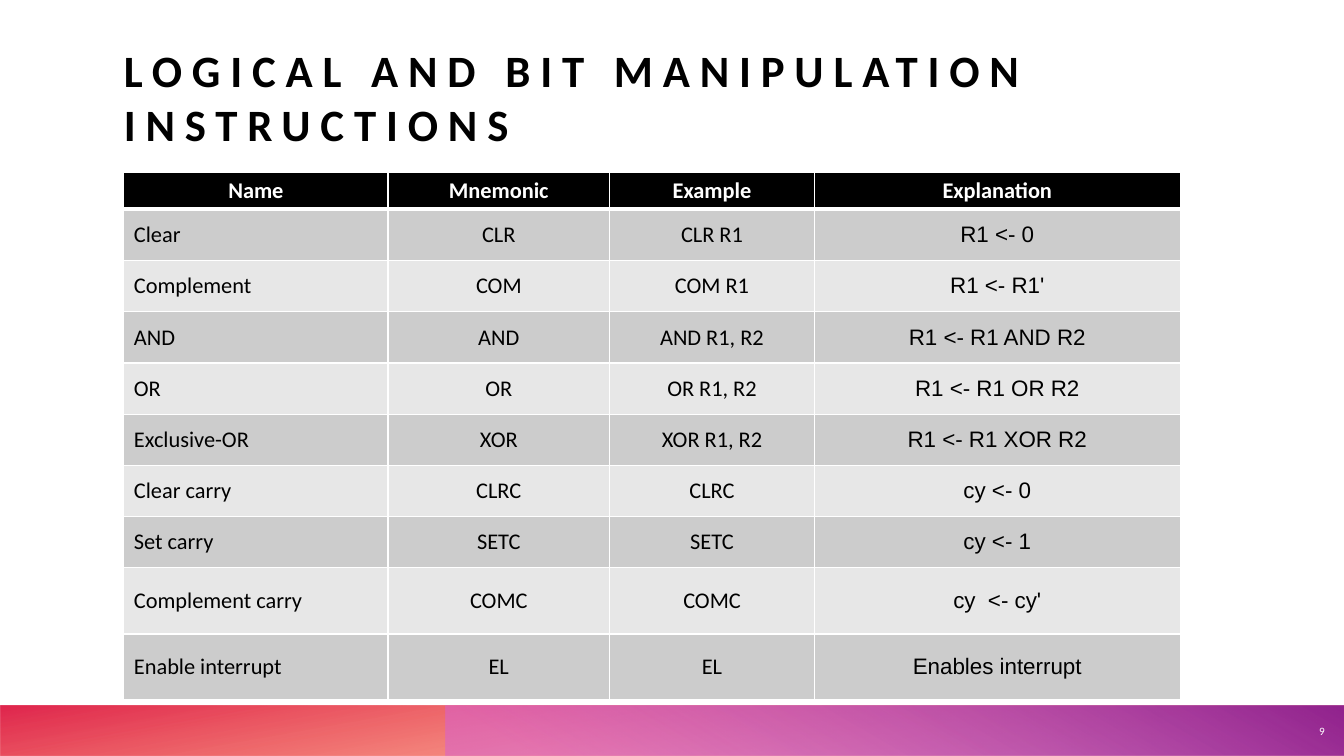
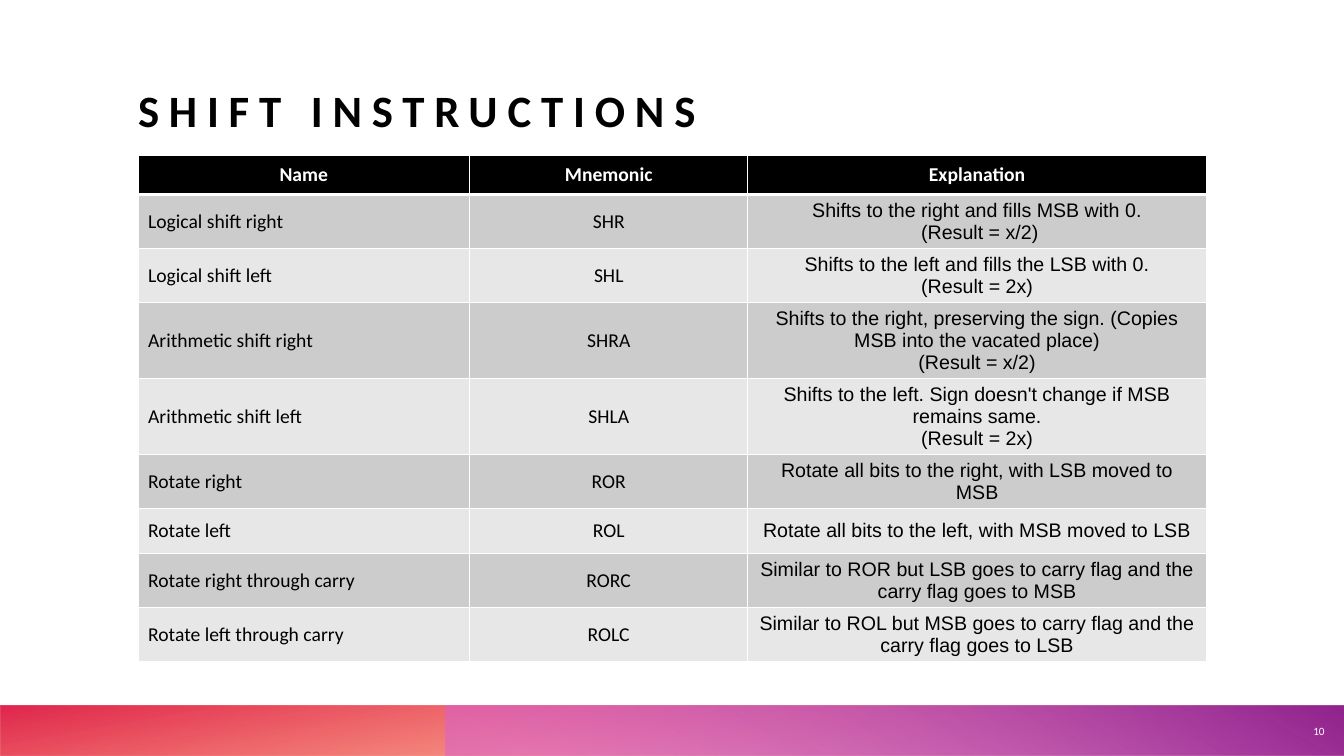
from lxml import etree
from pptx import Presentation
from pptx.dml.color import RGBColor
from pptx.enum.shapes import MSO_SHAPE
from pptx.enum.text import MSO_ANCHOR, MSO_AUTO_SIZE, PP_ALIGN
from pptx.oxml.ns import qn
from pptx.util import Pt

RECTANGLE = MSO_SHAPE.RECTANGLE
BOTTOM, MIDDLE = MSO_ANCHOR.BOTTOM, MSO_ANCHOR.MIDDLE
NO_AUTOFIT = MSO_AUTO_SIZE.NONE
LEFT, CENTER, RIGHT = PP_ALIGN.LEFT, PP_ALIGN.CENTER, PP_ALIGN.RIGHT

COLORS = {
    "black": "000000",
    "white": "FFFFFF",
    "odd_row": "CCCCCC",
    "even_row": "E7E7E7",
    "orange": "FE4A00",
    "red": "DA002F",
    "pink": "D861D4",
    "purple": "92248E",
}
HEADING_FONT, EXPLANATION_FONT = "Calibri", "Arial"
SLIDE_WIDTH, SLIDE_HEIGHT = 960, 540
BAND_TOP, BAND_HEIGHT = 504, 36
PURPLE_BAND_LEFT = 318
TITLE_WIDTH, TITLE_HEIGHT = 806.4, 97.2
THIN_BORDER, HEADER_BORDER = 1, 3

LOGICAL_ROWS = [
    ("Name", "Mnemonic", "Example", "Explanation"),
    ("Clear", "CLR", "CLR R1", "R1 <- 0"),
    ("Complement", "COM", "COM R1", "R1 <- R1'"),
    ("AND", "AND", "AND R1, R2", "R1 <- R1 AND R2"),
    ("OR", "OR", "OR R1, R2", "R1 <- R1 OR R2"),
    ("Exclusive-OR", "XOR", "XOR R1, R2", "R1 <- R1 XOR R2"),
    ("Clear carry", "CLRC", "CLRC", "cy <- 0"),
    ("Set carry", "SETC", "SETC", "cy <- 1"),
    ("Complement carry", "COMC", "COMC", "cy  <- cy'"),
    ("Enable interrupt", "EL", "EL", "Enables interrupt"),
]
SHIFT_ROWS = [
    ("Name", "Mnemonic", "Explanation"),
    ("Logical shift right", "SHR",
     "Shifts to the right and fills MSB with 0.\n (Result = x/2)"),
    ("Logical shift left", "SHL",
     "Shifts to the left and fills the LSB with 0.\n(Result = 2x)"),
    ("Arithmetic shift right", "SHRA",
     "Shifts to the right, preserving the sign. (Copies MSB into the vacated place)\n(Result = x/2)"),
    ("Arithmetic shift left", "SHLA",
     "Shifts to the left. Sign doesn't change if MSB remains same.\n(Result = 2x)"),
    ("Rotate right", "ROR", "Rotate all bits to the right, with LSB moved to MSB"),
    ("Rotate left", "ROL", "Rotate all bits to the left, with MSB moved to LSB"),
    ("Rotate right through carry", "RORC",
     "Similar to ROR but LSB goes to carry flag and the carry flag goes to MSB"),
    ("Rotate left through carry", "ROLC",
     "Similar to ROL but MSB goes to carry flag and the carry flag goes to LSB"),
]


def rgb(color):
    return RGBColor.from_string(COLORS[color])


def format_text(frame, size, color, align, font=HEADING_FONT, bold=False):
    for paragraph in frame.paragraphs:
        paragraph.alignment = align
        for run in paragraph.runs:
            run.font.name = font
            run.font.size = Pt(size)
            run.font.bold = bold
            run.font.color.rgb = rgb(color)


def add_band(slide, layout, left, angle, stops, rotation=0):
    band = slide.shapes.add_shape(
        RECTANGLE, Pt(left), Pt(BAND_TOP), Pt(SLIDE_WIDTH - left), Pt(BAND_HEIGHT))
    band.shadow.inherit = False
    band.line.fill.background()
    band.rotation = rotation
    band.element.spPr.find(qn("a:xfrm")).set("flipH", "1")
    band.fill.gradient()
    band.fill.gradient_angle = 360 - angle
    for stop, (position, color, _) in zip(band.fill.gradient_stops, stops):
        stop.position = position / 100
        stop.color.rgb = rgb(color)
    tints = band.element.spPr.iterfind(".//" + qn("a:gs") + "/" + qn("a:srgbClr"))
    for tint, (_, _, opacity) in zip(tints, stops):
        etree.SubElement(tint, qn("a:alpha"), val=str(opacity * 1000))
    layout.shapes.element.append(band.element)


def add_shared_bands(slide, layout):
    add_band(slide, layout, 0, 100, [(14, "orange", 28), (100, "red", 85)], rotation=180)
    add_band(slide, layout, PURPLE_BAND_LEFT, 240,
             [(9, "pink", 55), (99, "purple", 100)])


def set_title(slide, text, left, top):
    title = slide.shapes.title
    title.left, title.top = Pt(left), Pt(top)
    title.width, title.height = Pt(TITLE_WIDTH), Pt(TITLE_HEIGHT)
    frame = title.text_frame
    frame.text = text
    frame.auto_size = NO_AUTOFIT
    frame.word_wrap = True
    frame.vertical_anchor = BOTTOM
    frame.margin_left = frame.margin_right = frame.margin_top = frame.margin_bottom = 0
    format_text(frame, 32, "black", LEFT, bold=True)
    frame.paragraphs[0].runs[0].font._element.set("spc", "700")


def add_slide_number(slide, number):
    frame = slide.shapes.add_textbox(Pt(918.7), Pt(504.7), Pt(34.6), Pt(35.3)).text_frame
    frame.text = str(number)
    frame.word_wrap = True
    frame.vertical_anchor = MIDDLE
    format_text(frame, 8, "white", RIGHT)


def set_borders(cell, top, bottom):
    properties = cell._tc.get_or_add_tcPr()
    widths = {"lnL": THIN_BORDER, "lnR": THIN_BORDER, "lnT": top, "lnB": bottom}
    for side, width in widths.items():
        border = etree.SubElement(properties, qn("a:" + side), w=str(Pt(width)))
        fill = etree.SubElement(border, qn("a:solidFill"))
        etree.SubElement(fill, qn("a:srgbClr"), val=COLORS["white"])


def format_cell(cell, row, column, last_column, size):
    is_header = row == 0
    set_borders(cell,
                HEADER_BORDER if row == 1 else THIN_BORDER,
                HEADER_BORDER if is_header else THIN_BORDER)
    cell.fill.solid()
    cell.fill.fore_color.rgb = rgb(
        "black" if is_header else "odd_row" if row % 2 else "even_row")
    cell.vertical_anchor = MIDDLE
    cell.margin_top = cell.margin_bottom = Pt(3)
    format_text(
        cell.text_frame, size,
        "white" if is_header else "black",
        LEFT if column == 0 and not is_header else CENTER,
        EXPLANATION_FONT if column == last_column and not is_header else HEADING_FONT,
        bold=is_header)


def add_instruction_table(slide, rows, left, top, widths, heights, size):
    table = slide.shapes.add_table(
        len(rows), len(widths), Pt(left), Pt(top), Pt(sum(widths)), Pt(sum(heights))).table
    for column, width in zip(table.columns, widths):
        column.width = Pt(width)
    for row, height in zip(table.rows, heights):
        row.height = Pt(height)
    for r, entries in enumerate(rows):
        for c, entry in enumerate(entries):
            cell = table.cell(r, c)
            cell.text_frame.text = entry
            format_cell(cell, r, c, len(widths) - 1, size)


def main():
    prs = Presentation()
    prs.slide_width, prs.slide_height = Pt(SLIDE_WIDTH), Pt(SLIDE_HEIGHT)
    title_only = prs.slide_layouts[5]

    logical = prs.slides.add_slide(title_only)
    add_shared_bands(logical, title_only)
    set_title(logical, "LOGICAL AND BIT MANIPULATION INSTRUCTIONS", 88.5, 10)
    add_instruction_table(
        logical, LOGICAL_ROWS, 88.5, 123, [188.6, 158.4, 146.2, 261.4],
        [26.5] + [36.6] * 7 + [47.2] * 2, 16)
    add_slide_number(logical, 9)

    shift = prs.slides.add_slide(title_only)
    set_title(shift, "SHIFT INSTRUCTIONS", 98.6, 0)
    add_instruction_table(
        shift, SHIFT_ROWS, 98.6, 111, [236.9, 198.7, 327.6],
        [28, 38.5, 38.5, 54.3, 54.3, 38.5, 32.4, 38.5, 38.5], 14)
    add_slide_number(shift, 10)

    prs.save("out.pptx")


if __name__ == "__main__":
    main()
